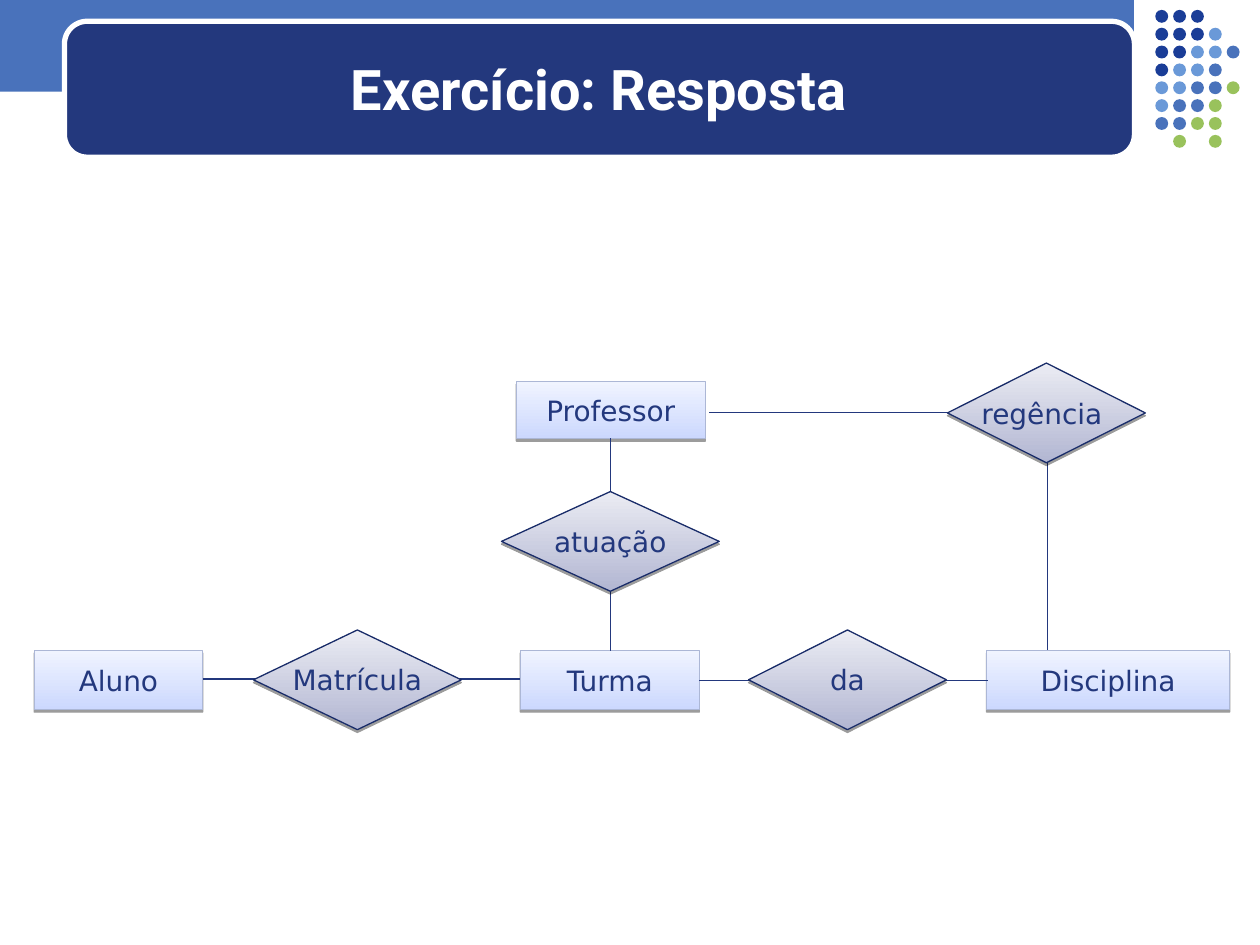
from dataclasses import dataclass

import lxml.etree
import pptx
import pptx.dml.color
import pptx.enum.shapes
import pptx.enum.text
import pptx.util
from pptx.oxml.ns import qn

Cm, Pt = pptx.util.Cm, pptx.util.Pt
SHAPE = pptx.enum.shapes.MSO_SHAPE
CONNECTOR = pptx.enum.shapes.MSO_CONNECTOR
MIDDLE = pptx.enum.text.MSO_ANCHOR.MIDDLE
CENTER = pptx.enum.text.PP_ALIGN.CENTER

NAVY, BLUE, WHITE = "23387D", "4972BB", "FFFFFF"
DOT_COLORS = {"N": "1A3D97", "L": "6A99D8", "B": BLUE, "G": "99C25C"}
DOT_ROWS = ["NNN", "NNNL", "NNLLB", "NLLB", "LLBBG", "LBBG", "BBGG", ".G.G"]
DOT_LEFT, DOT_TOP, DOT_PITCH, DOT_SIZE = 23.29, 0.2, 0.36, 0.26


@dataclass
class NodeStyle:
    kind: SHAPE
    bottom: str
    top: str
    line: str


@dataclass
class Node:
    text: str
    x: float
    y: float
    w: float
    h: float


@dataclass
class Link:
    x1: float
    y1: float
    x2: float
    y2: float
    kind: CONNECTOR = CONNECTOR.STRAIGHT


ENTITY = NodeStyle(SHAPE.RECTANGLE, "CCD8FE", "F0F4FF", "ACB7D6")
RELATION = NodeStyle(SHAPE.DIAMOND, "B2B6D2", "EBECF3", "192C69")

ENTITIES = [
    Node("Aluno", 0.69, 13.11, 3.4, 1.19),
    Node("Turma", 10.49, 13.11, 3.61, 1.19),
    Node("Disciplina", 19.89, 13.11, 4.9, 1.19),
    Node("Professor", 10.41, 7.69, 3.81, 1.15),
]
LINKS = [
    Link(4.09, 13.69, 10.49, 13.69),
    Link(12.32, 8.84, 12.29, 13.11, CONNECTOR.ELBOW),
    Link(14.3, 8.31, 19.51, 8.31),
    Link(21.11, 9.3, 21.11, 13.11),
    Link(14.1, 13.72, 19.91, 13.72),
]
RELATIONS = [
    Node("Matrícula", 5.11, 12.7, 4.19, 2.01),
    Node("atuação", 10.11, 9.91, 4.39, 2.01),
    Node("regência ", 19.1, 7.32, 3.99, 2.01),
    Node("da", 15.09, 12.7, 3.99, 2.01),
]


def rgb(color: str) -> pptx.dml.color.RGBColor:
    return pptx.dml.color.RGBColor.from_string(color)


def add_plain(s, kind: SHAPE, x: float, y: float, w: float, h: float, color: str):
    """Add a flat filled shape with no outline and no shadow."""
    sp = s.shapes.add_shape(kind, Cm(x), Cm(y), Cm(w), Cm(h))
    sp.shadow.inherit = False
    sp.fill.solid()
    sp.fill.fore_color.rgb = rgb(color)
    sp.line.fill.background()
    return sp


def set_line(sp, color: str, width: float) -> None:
    sp.line.color.rgb = rgb(color)
    sp.line.width = Pt(width)


def format_text(tf, font: str, size: int, color: str) -> None:
    tf.vertical_anchor = MIDDLE
    p = tf.paragraphs[0]
    p.alignment = CENTER
    p.font.name, p.font.size = font, Pt(size)
    p.font.color.rgb = rgb(color)


def add_drop_shadow(sp) -> None:
    effects = sp.element.spPr.find(qn("a:effectLst"))
    shadow = lxml.etree.SubElement(
        effects, qn("a:outerShdw"), blurRad="0", dist=str(Pt(1.6)),
        dir="5400000", rotWithShape="0")
    black = lxml.etree.SubElement(shadow, qn("a:srgbClr"), val="000000")
    lxml.etree.SubElement(black, qn("a:alpha"), val="38000")


def add_node(s, node: Node, style: NodeStyle) -> None:
    sp = add_plain(s, style.kind, node.x, node.y, node.w, node.h, style.top)
    sp.fill.gradient()
    sp.fill.gradient_angle = 90
    for stop, color in zip(sp.fill.gradient_stops, (style.bottom, style.top)):
        stop.color.rgb = rgb(color)
    set_line(sp, style.line, 0.75)
    add_drop_shadow(sp)
    tf = sp.text_frame
    tf.text = node.text
    tf.word_wrap = False
    format_text(tf, "DejaVu Sans", 16, NAVY)


def add_link(s, link: Link) -> None:
    cxn = s.shapes.add_connector(
        link.kind, Cm(link.x1), Cm(link.y1), Cm(link.x2), Cm(link.y2))
    set_line(cxn, NAVY, 0.75)
    lxml.etree.SubElement(cxn.element.spPr, qn("a:effectLst"))


def add_header(s) -> None:
    add_plain(s, SHAPE.RECTANGLE, 0, -0.08, 22.86, 1.93, BLUE)
    panel = add_plain(s, SHAPE.ROUNDED_RECTANGLE, 1.3, 0.43, 21.57, 2.74, NAVY)
    panel.adjustments[0] = 0.167
    set_line(panel, WHITE, 3)
    for row, codes in enumerate(DOT_ROWS):
        for col, code in enumerate(codes):
            if code in DOT_COLORS:
                add_plain(s, SHAPE.OVAL, DOT_LEFT + col * DOT_PITCH,
                          DOT_TOP + row * DOT_PITCH, DOT_SIZE, DOT_SIZE,
                          DOT_COLORS[code])


def set_title(s, text: str) -> None:
    title = s.shapes.title
    title.left, title.top = Cm(1.52), Cm(0.58)
    title.width, title.height = Cm(21.11), Cm(2.39)
    title.text_frame.text = text
    format_text(title.text_frame, "Roboto", 32, WHITE)
    title.text_frame.paragraphs[0].font.bold = True
    s.shapes.element.append(title.element)  # in front of the header panel


def main() -> None:
    prs = pptx.Presentation()
    prs.slide_width, prs.slide_height = Cm(25.4), Cm(19.05)
    s = prs.slides.add_slide(prs.slide_layouts[5])
    add_header(s)
    set_title(s, "Exercício: Resposta")
    for node in ENTITIES:
        add_node(s, node, ENTITY)
    for link in LINKS:
        add_link(s, link)
    for node in RELATIONS:
        add_node(s, node, RELATION)
    prs.save("out.pptx")


if __name__ == "__main__":
    main()
